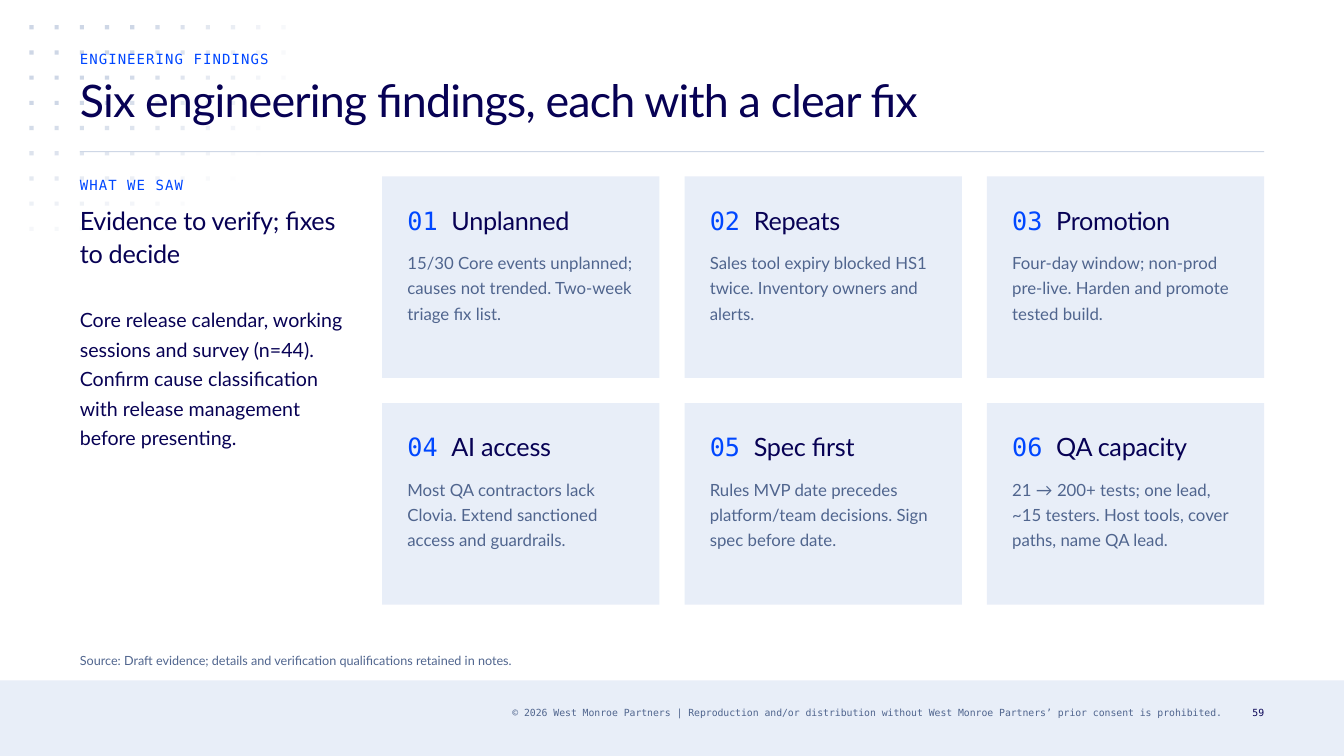
from dataclasses import dataclass
from math import hypot

from lxml import etree
from pptx import Presentation
from pptx.dml.color import RGBColor
from pptx.enum import shapes, text
from pptx.oxml.ns import qn
from pptx.util import Pt


@dataclass(frozen=True)
class Style:
    """Type settings for one kind of text."""
    size: float
    leading: float
    color: str
    font: str = "Lato"
    tracking: float = 0


@dataclass(frozen=True)
class Theme:
    """Colours and type styles of the slide."""
    panel = "E8EEF8"
    rule = "CED7E6"
    navy = "070154"
    blue = "0047FF"
    slate = "50658E"
    mono = "DejaVu Sans Mono"
    label = Style(10, 12, blue, mono, 0.8)
    title = Style(32, 36, navy, tracking=-0.6)
    heading = Style(18, 24, navy, tracking=-0.2)
    number = Style(18, 24, blue, mono)
    intro = Style(14, 21, navy)
    body = Style(12, 18, slate)
    source = Style(9, 12, slate)
    copyright = Style(7, 9, slate, mono)
    page = Style(7, 9, navy, mono)


THEME = Theme()
LEFT, WIDTH = 57, 846
COLUMN, CARD_HEIGHT, GAP = 198, 144, 18
FINDINGS = [
    ("Unplanned", "15/30 Core events unplanned; causes not trended. Two-week triage fix list."),
    ("Repeats", "Sales tool expiry blocked HS1 twice. Inventory owners and alerts."),
    ("Promotion", "Four-day window; non-prod pre-live. Harden and promote tested build."),
    ("AI access", "Most QA contractors lack Clovia. Extend sanctioned access and guardrails."),
    ("Spec first", "Rules MVP date precedes platform/team decisions. Sign spec before date."),
    ("QA capacity", "21 → 200+ tests; one lead, ~15 testers. Host tools, cover paths, name QA lead."),
]


def write(holder, words, style, align=text.PP_ALIGN.LEFT):
    """Fill a text holder with one styled paragraph and no insets."""
    frame = holder.text_frame
    frame.text = words
    frame.word_wrap = True
    frame.auto_size = text.MSO_AUTO_SIZE.NONE
    frame.vertical_anchor = text.MSO_ANCHOR.TOP
    frame.margin_left = frame.margin_top = frame.margin_right = frame.margin_bottom = 0
    paragraph = frame.paragraphs[0]
    paragraph.alignment = align
    paragraph.line_spacing = Pt(style.leading)
    paragraph.space_before = Pt(0)
    run = paragraph.runs[0]
    run.font.name = style.font
    run.font.size = Pt(style.size)
    run.font.color.rgb = RGBColor.from_string(style.color)
    if style.tracking:
        run.font._element.set("spc", str(round(style.tracking * 100)))


def add_text(parent, box, words, style, align=text.PP_ALIGN.LEFT):
    """Add a text box at the given box."""
    write(parent.add_textbox(*map(Pt, box)), words, style, align)


def add_block(parent, box, color, opacity=100):
    """Add a plain rectangle, see-through below full opacity."""
    block = parent.add_shape(shapes.MSO_SHAPE.RECTANGLE, *map(Pt, box))
    block.shadow.inherit = False
    block.fill.solid()
    block.fill.fore_color.rgb = RGBColor.from_string(color)
    block.line.fill.background()
    if opacity < 100:
        tint = block.element.spPr.find(".//" + qn("a:srgbClr"))
        etree.SubElement(tint, qn("a:alpha")).set("val", str(opacity * 1000))


def add_dots(slide, box):
    """Draw a dot grid that fades out along an ellipse from its corner."""
    left, top, width, height = box
    for column in range(int(width / GAP)):
        for row in range(int(height / GAP)):
            opacity = round(153 * (1 - hypot(column / 11.05, row / 9.08)))
            if opacity >= 2:
                dot = (left + column * GAP, top + row * GAP, 3, 3)
                add_block(slide.shapes, dot, THEME.rule, min(opacity, 100))


def add_header(slide, box):
    """Place the section label, the title and the rule below them."""
    left, top, width, height = box
    add_block(slide.shapes, (left, top + height, width, 0.75), THEME.rule)
    add_text(slide.shapes, (left, top, width, 12), "ENGINEERING FINDINGS", THEME.label)
    title = slide.shapes.title
    title.left, title.top, title.width, title.height = map(Pt, (left, top + 18, width, 54))
    write(title, "Six engineering findings, each with a clear fix", THEME.title)
    title.element.getparent().append(title.element)


def add_summary(slide, box):
    """Place the summary column beside the cards."""
    left, top, width, height = box
    add_text(slide.shapes, (left, top, width, 12), "WHAT WE SAW", THEME.label)
    add_text(slide.shapes, (left, top + 18, width, 54),
             "Evidence to verify; fixes to decide", THEME.heading)
    add_text(slide.shapes, (left, top + 90, width, height - 90),
             "Core release calendar, working sessions and survey (n=44). Confirm cause "
             "classification with release management before presenting.", THEME.intro)


def add_card(slide, box, number, heading, finding):
    """Build one finding card as a group."""
    left, top, width, height = box
    card = slide.shapes.add_group_shape().shapes
    add_block(card, box, THEME.panel)
    add_text(card, (left + 18, top + 18, 22.5, 24), f"{number:02}", THEME.number)
    add_text(card, (left + 49.5, top + 18, width - 67.5, 24), heading, THEME.heading)
    add_text(card, (left + 18, top + 51, width - 36, height - 90), finding, THEME.body)


def add_cards(slide, box):
    """Lay the findings out in rows of three."""
    left, top, width, height = box
    for index, (heading, finding) in enumerate(FINDINGS):
        row, column = divmod(index, 3)
        card = (left + column * (COLUMN + GAP), top + row * (CARD_HEIGHT + GAP),
                COLUMN, CARD_HEIGHT)
        add_card(slide, card, index + 1, heading, finding)


def add_footer(slide, box):
    """Place the footer band, source, copyright line and page number."""
    left, top, width, height = box
    right = LEFT + WIDTH
    add_block(slide.shapes, box, THEME.panel)
    add_text(slide.shapes, (LEFT, top - 21, WIDTH, 12),
             "Source: Draft evidence; details and verification qualifications retained in notes.",
             THEME.source)
    add_text(slide.shapes, (right - 732, top + 18, 702, 18),
             "© 2026 West Monroe Partners | Reproduction and/or distribution without "
             "West Monroe Partners’ prior consent is prohibited.",
             THEME.copyright, text.PP_ALIGN.RIGHT)
    add_text(slide.shapes, (right - 24, top + 18, 24, 18), "59", THEME.page,
             text.PP_ALIGN.RIGHT)


def main():
    """Build and save the slide."""
    deck = Presentation()
    deck.slide_width, deck.slide_height = Pt(960), Pt(540)
    slide = deck.slides.add_slide(deck.slide_layouts[5])
    add_dots(slide, (21, 18, 11 * GAP, 9 * GAP))
    add_header(slide, (LEFT, 36, WIDTH, 72))
    add_summary(slide, (LEFT, 126, COLUMN, 195))
    add_cards(slide, (LEFT + COLUMN + GAP, 126, 630, 306))
    add_footer(slide, (0, 486, 960, 54))
    deck.save("out.pptx")


if __name__ == "__main__":
    main()
